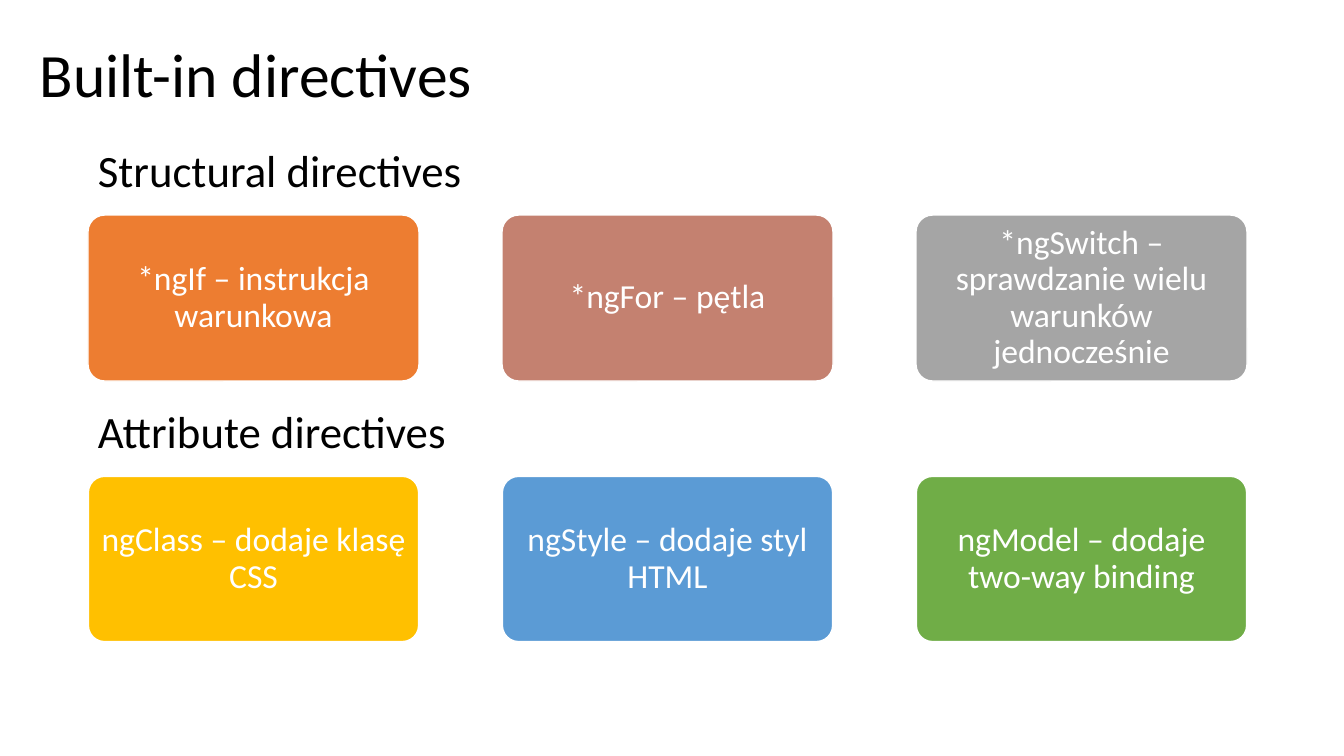
from pptx import Presentation
from pptx.dml.color import RGBColor
from pptx.enum.shapes import MSO_SHAPE
from pptx.enum.text import MSO_ANCHOR, PP_ALIGN
from pptx.util import Emu, Pt

BLACK = RGBColor(0x00, 0x00, 0x00)
WHITE = RGBColor(0xFF, 0xFF, 0xFF)
ORANGE = RGBColor(0xED, 0x7D, 0x31)
ROSE = RGBColor(0xC4, 0x81, 0x70)
GRAY = RGBColor(0xA5, 0xA5, 0xA5)
GOLD = RGBColor(0xFF, 0xC0, 0x00)
BLUE = RGBColor(0x5B, 0x9B, 0xD5)
GREEN = RGBColor(0x70, 0xAD, 0x47)

LEFT, TOP = 88, 138
COLUMN_STEP, ROW_STEP = 414, 261
CARD_OFFSET, CARD_WIDTH, CARD_HEIGHT = 77, 331, 166

# Heading, card outline in points, cards
SECTIONS = [
    ("Structural directives", 1, [
        ("*ngIf – instrukcja warunkowa", ORANGE),
        ("*ngFor – pętla", ROSE),
        ("*ngSwitch – sprawdzanie wielu warunków jednocześnie", GRAY),
    ]),
    ("Attribute directives", 1.5, [
        ("ngClass – dodaje klasę CSS", GOLD),
        ("ngStyle – dodaje styl HTML", BLUE),
        ("ngModel – dodaje two-way binding", GREEN),
    ]),
]


def px(length):
    return Emu(round(length * 914400 / 100.8))


class SlideBuilder:
    font_name = "Calibri"

    def __init__(self, slide):
        self.slide = slide

    def fill_text(self, shape, text, size, color, anchor, align=PP_ALIGN.LEFT, spacing=1.0):
        frame = shape.text_frame
        frame.word_wrap = True
        frame.vertical_anchor = anchor
        paragraph = frame.paragraphs[0]
        paragraph.alignment = align
        paragraph.line_spacing = spacing
        run = paragraph.add_run()
        run.text = text
        run.font.name = self.font_name
        run.font.size = Pt(size)
        run.font.color.rgb = color

    def label(self, left, top, width, height, text, size, anchor=MSO_ANCHOR.TOP, spacing=1.0):
        shape = self.slide.shapes.add_textbox(px(left), px(top), px(width), px(height))
        self.fill_text(shape, text, size, BLACK, anchor, spacing=spacing)

    def card(self, left, top, text, fill, outline):
        shape = self.slide.shapes.add_shape(
            MSO_SHAPE.ROUNDED_RECTANGLE, px(left), px(top), px(CARD_WIDTH), px(CARD_HEIGHT))
        shape.adjustments[0] = 0.1
        shape.shadow.inherit = False
        shape.fill.solid()
        shape.fill.fore_color.rgb = fill
        shape.line.color.rgb = WHITE
        shape.line.width = Pt(outline)
        # The rounded corners already inset the text area
        frame = shape.text_frame
        frame.margin_left = frame.margin_right = px(5)
        frame.margin_top = frame.margin_bottom = px(3)
        self.fill_text(shape, text, 24, WHITE, MSO_ANCHOR.MIDDLE, PP_ALIGN.CENTER, 0.9)


def main():
    presentation = Presentation()
    presentation.slide_width = px(1344)
    presentation.slide_height = px(756)
    builder = SlideBuilder(presentation.slides.add_slide(presentation.slide_layouts[6]))

    # Title
    builder.label(30, 17, 890, 121, "Built-in directives", 44, MSO_ANCHOR.MIDDLE, 0.9)

    # Each section: a heading above a row of cards
    for row, (heading, outline, cards) in enumerate(SECTIONS):
        top = TOP + row * ROW_STEP
        builder.label(LEFT, top, 398, 65, heading, 32)
        for column, (text, fill) in enumerate(cards):
            builder.card(LEFT + column * COLUMN_STEP, top + CARD_OFFSET, text, fill, outline)

    presentation.save("out.pptx")


if __name__ == "__main__":
    main()
